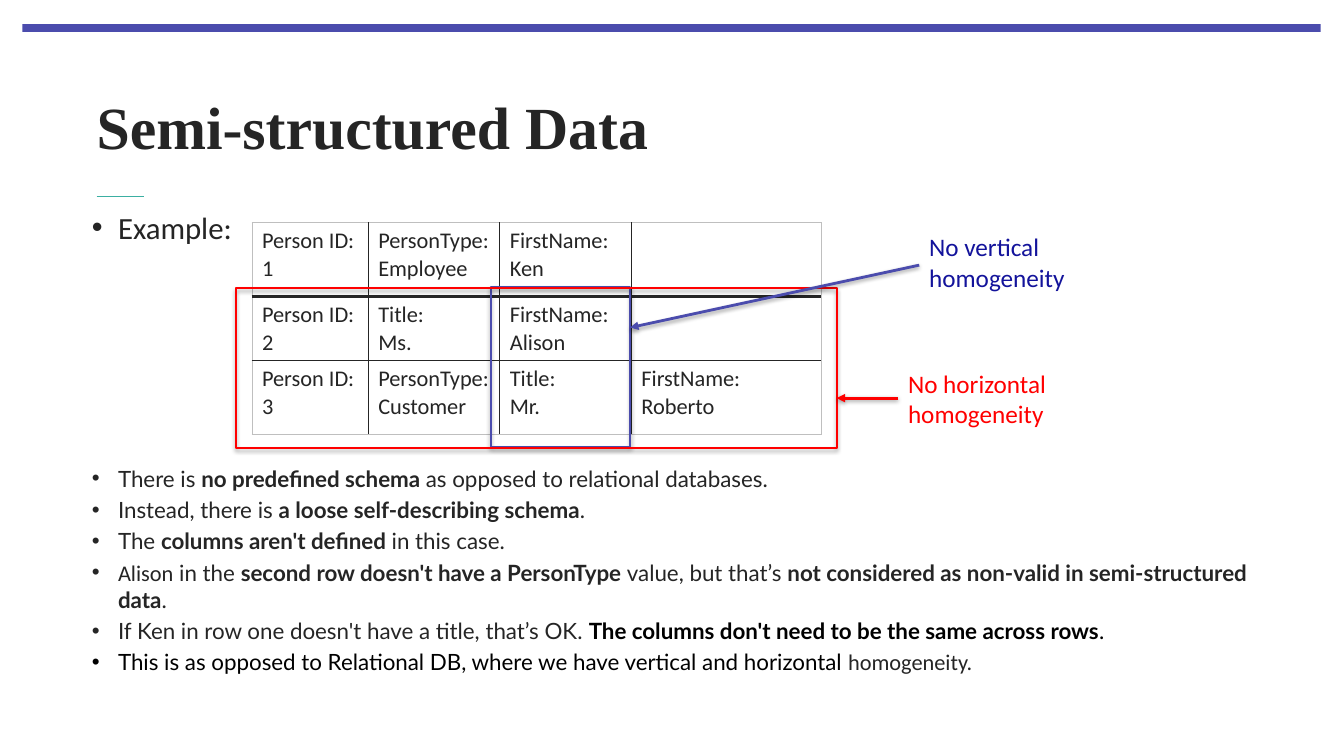
from lxml import etree
from pptx import Presentation
from pptx import util as u
from pptx.dml.color import RGBColor
from pptx.enum import shapes, text
from pptx.oxml import ns

Pt = u.Pt
COLORS = {"ink": "252525", "black": "000000", "violet": "4B4CAD", "navy": "13139B",
          "red": "FF0000", "teal": "3BAFA2", "edge": "BFBFBF"}

TITLE = "Semi-structured Data"
EXAMPLE = [[("Example:", {})]]
BOLD = {"bold": True}
BLACK = {"color": "black"}
POINTS = [
    [("There is ", {}), ("no predefined schema ", BOLD),
     ("as opposed to relational databases.", {})],
    [("Instead, there is ", {}), ("a loose self-describing schema", BOLD), (".", {})],
    [("The ", {}), ("columns aren't defined ", BOLD), ("in this case.", {})],
    [("Alison", {"name": "Calibri"}), (" in the ", {}),
     ("second row doesn't have a PersonType ", BOLD), ("value, but that’s ", {}),
     ("not considered as non-valid in semi-structured data", BOLD), (".", {})],
    [("If Ken in row one doesn't have a title, that’s OK. ", {}),
     ("The columns don't need to be the same across rows", BOLD | BLACK), (".", BLACK)],
    [("This is as opposed to Relational DB, where we have vertical and horizontal ", BLACK),
     ("homogeneity.", {"name": "Calibri"})],
]
PEOPLE = [
    [("Person ID:", "1"), ("PersonType:", "Employee"), ("FirstName:", "Ken"), ()],
    [("Person ID:", "2"), ("Title:", "Ms."), ("FirstName:", "Alison"), ()],
    [("Person ID:", "3"), ("PersonType:", "Customer"), ("Title:", "Mr."), ("FirstName:", "Roberto")],
]
COL_WIDTHS = [83, 94, 94, 135.5]
ROW_HEIGHTS = [52.8, 45.5, 52.8]
NOTES = [("No vertical homogeneity", "navy", 656.6, 162),
         ("No horizontal homogeneity", "red", 641.5, 259.2)]
FRAMES = [("violet", 350.6, 205.2, 99.4, 113.8), ("red", 168.5, 205.9, 429.1, 113.8)]
ARROWS = [("violet", 656.6, 189.4, 450, 234), ("red", 641.5, 284.4, 597.6, 284.4)]


def rgb(name):
    return RGBColor.from_string(COLORS[name])


def style(font, name=None, size=None, color=None, bold=None):
    if name:
        font.name = name
    if size:
        font.size = Pt(size)
    if color:
        font.color.rgb = rgb(color)
    if bold is not None:
        font.bold = bold


def child(parent, tag, **attrs):
    return etree.SubElement(parent, ns.qn(tag), {k: str(v) for k, v in attrs.items()})


def set_shadow(sp, alpha=0, dist=0):
    effects = child(sp._element.spPr, "a:effectLst")
    if alpha:
        outer = child(effects, "a:outerShdw", blurRad=Pt(3.1), dist=Pt(dist),
                      dir=5400000, rotWithShape=0)
        child(child(outer, "a:srgbClr", val=COLORS["black"]), "a:alpha", val=alpha * 1000)


def add_line(slide, color, width, x1, y1, x2, y2):
    line = slide.shapes.add_connector(shapes.MSO_CONNECTOR.STRAIGHT,
                                      Pt(x1), Pt(y1), Pt(x2), Pt(y2))
    line.line.color.rgb = rgb(color)
    line.line.width = Pt(width)
    return line


def add_rect(slide, x, y, w, h):
    return slide.shapes.add_shape(shapes.MSO_SHAPE.RECTANGLE, Pt(x), Pt(y), Pt(w), Pt(h))


def add_text(slide, x, y, w, h, pad_x=7.2, pad_y=0):
    tf = slide.shapes.add_textbox(Pt(x), Pt(y), Pt(w), Pt(h)).text_frame
    tf.word_wrap = True
    tf.margin_left = tf.margin_right = Pt(pad_x)
    tf.margin_top = tf.margin_bottom = Pt(pad_y)
    return tf


def add_bullets(slide, items, y, w, h, font, size):
    tf = add_text(slide, 58.5, y, w, h)
    for i, runs in enumerate(items):
        p = tf.paragraphs[0] if i == 0 else tf.add_paragraph()
        pPr = p._p.get_or_add_pPr()
        pPr.set("marL", str(Pt(18.75)))
        pPr.set("indent", str(Pt(-18.75)))
        child(pPr, "a:buFont", typeface="Arial")
        child(pPr, "a:buChar", char="•")
        if i:
            p.space_before = Pt(size * 0.2)
        style(p.font, font, size, "ink")
        for words, look in runs:
            r = p.add_run()
            r.text = words
            style(r.font, **look)


def set_border(cell, side, color, width):
    ln = child(cell._tc.get_or_add_tcPr(), f"a:{side}", w=Pt(width))
    child(child(ln, "a:solidFill"), "a:srgbClr", val=COLORS[color])


def add_people(slide):
    frame = slide.shapes.add_table(len(PEOPLE), len(COL_WIDTHS), Pt(180), Pt(159),
                                   Pt(sum(COL_WIDTHS)), Pt(sum(ROW_HEIGHTS)))
    table = frame.table
    table.first_row = table.horz_banding = False
    for col, width in zip(table.columns, COL_WIDTHS):
        col.width = Pt(width)
    for row, height in zip(table.rows, ROW_HEIGHTS):
        row.height = Pt(height)
    outer, inner, heavy = ("edge", 0.5), ("ink", 1), ("ink", 2)
    last_row, last_col = len(ROW_HEIGHTS) - 1, len(COL_WIDTHS) - 1
    rules = [outer, heavy] + [inner] * (last_row - 1) + [outer]
    for i, person in enumerate(PEOPLE):
        for j, lines in enumerate(person):
            cell = table.cell(i, j)
            set_border(cell, "lnL", *(inner if j else outer))
            set_border(cell, "lnR", *(inner if j < last_col else outer))
            set_border(cell, "lnT", *rules[i])
            set_border(cell, "lnB", *rules[i + 1])
            cell.fill.background()
            cell.text = "\n".join(lines)
            for p in cell.text_frame.paragraphs:
                style(p.font, "Calibri", 16, "ink")


def main():
    prs = Presentation()
    prs.slide_width, prs.slide_height = Pt(960), Pt(540)
    slide = prs.slides.add_slide(prs.slide_layouts[6])

    bar = add_rect(slide, 16, 17.3, 927.4, 5.5)
    bar.fill.solid()
    bar.fill.fore_color.rgb = rgb("violet")
    bar.line.fill.background()
    set_shadow(bar)
    set_shadow(add_line(slide, "teal", 0.5, 69, 140.4, 103, 140.4))

    tf = add_text(slide, 69, 44.6, 836, 90, 0)
    tf.vertical_anchor = text.MSO_ANCHOR.MIDDLE
    p = tf.paragraphs[0]
    p.text = TITLE
    style(p.font, "Times New Roman", 42.7, "ink", True)

    add_bullets(slide, EXAMPLE, 149, 120, 28, "Calibri", 22)
    add_bullets(slide, POINTS, 332, 843, 154, "Lato", 16)
    add_people(slide)

    for words, color, x, y in NOTES:
        p = add_text(slide, x, y, 133.2, 51, pad_y=3.6).paragraphs[0]
        p.text = words
        style(p.font, "Calibri", 18, color)
    for color, *box in FRAMES:
        sp = add_rect(slide, *box)
        sp.fill.background()
        sp.line.color.rgb = rgb(color)
        sp.line.width = Pt(1.5)
        set_shadow(sp, 35, 1.8)
    for color, *ends in ARROWS:
        arrow = add_line(slide, color, 2, *ends)
        child(arrow.line._get_or_add_ln(), "a:tailEnd", type="triangle")
        set_shadow(arrow, 38, 1.6)

    prs.save("out.pptx")


if __name__ == "__main__":
    main()
